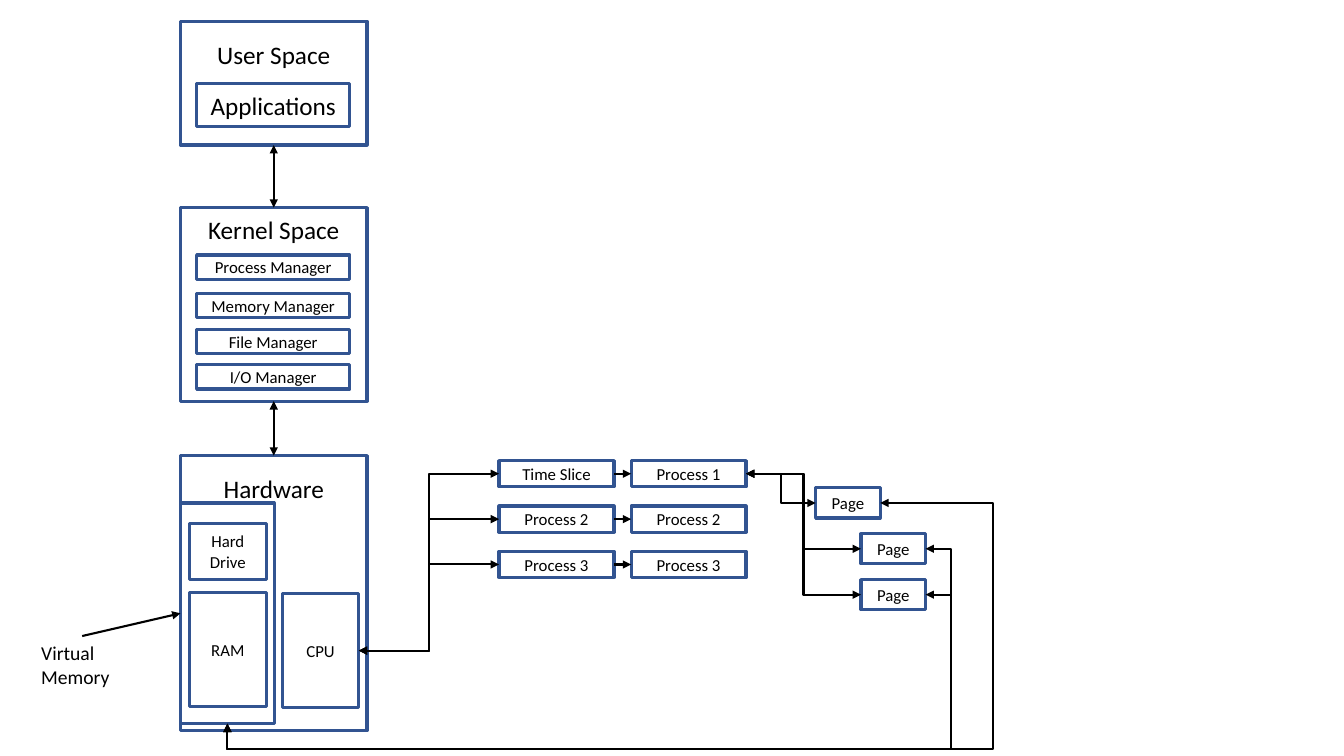
from lxml.etree import SubElement
from pptx import Presentation
from pptx.dml.color import RGBColor
from pptx.enum.shapes import MSO_CONNECTOR as LINE, MSO_SHAPE as SHAPE
from pptx.enum.text import MSO_ANCHOR as ANCHOR, PP_ALIGN as ALIGN
from pptx.oxml.ns import qn
from pptx.util import Inches, Pt

BORDER, INK = "325491", "000000"
TOP, LEFT, BOTTOM, RIGHT = range(4)


def color(hex_value):
    return RGBColor.from_string(hex_value)


def write(holder, text, size=12, align=ALIGN.CENTER, anchor=ANCHOR.MIDDLE, inset=0.05):
    frame = holder.text_frame
    frame.word_wrap = True
    frame.vertical_anchor = anchor
    frame.margin_top = Inches(inset)
    paragraph = frame.paragraphs[0]
    paragraph.alignment = align
    run = paragraph.add_run()
    run.text = text
    run.font.name = "Calibri"
    run.font.size = Pt(size)
    run.font.color.rgb = color(INK)


def add_box(slide, left, top, width, height, text="", **text_format):
    box = slide.shapes.add_shape(
        SHAPE.RECTANGLE, Inches(left), Inches(top), Inches(width), Inches(height))
    box.shadow.inherit = False
    box.fill.background()
    box.line.color.rgb = color(BORDER)
    box.line.width = Pt(2.25)
    if text:
        write(box, text, **text_format)
    return box


def join(slide, start, start_side, end, end_side, kind=LINE.STRAIGHT, both=True):
    arrow = slide.shapes.add_connector(kind, 0, 0, 0, 0)
    arrow.begin_connect(start, start_side)
    arrow.end_connect(end, end_side)
    arrow.line.color.rgb = color(INK)
    arrow.line.width = Pt(1.5)
    outline = arrow.line._get_or_add_ln()
    for tip in ("a:headEnd", "a:tailEnd") if both else ("a:tailEnd",):
        SubElement(outline, qn(tip), type="triangle")
    SubElement(arrow._element.spPr, qn("a:effectLst"))
    return arrow


def join_around(slide, start, end, drop, overshoot):
    """Run from the bottom of start, below and past end, to its right side."""
    arrow = join(slide, start, BOTTOM, end, RIGHT, LINE.ELBOW)
    start_x = start.left + start.width // 2
    start_y = start.top + start.height
    end_x = end.left + end.width
    end_y = end.top + end.height // 2
    run, rise = end_x - start_x, start_y - end_y
    # The frame is turned a quarter, so its width is the rise
    arrow.left = (start_x + end_x - rise) // 2
    arrow.top = (start_y + end_y - run) // 2
    arrow.width, arrow.height = rise, run
    properties = arrow._element.spPr
    frame = properties.find(qn("a:xfrm"))
    for key, value in (("rot", "5400000"), ("flipH", "1"), ("flipV", "1")):
        frame.set(key, value)
    geometry = properties.find(qn("a:prstGeom"))
    geometry.set("prst", "bentConnector4")
    guides = geometry.find(qn("a:avLst"))
    if guides is None:
        guides = SubElement(geometry, qn("a:avLst"))
    bends = (-Inches(drop) / rise, 1 + Inches(overshoot) / run)
    for number, bend in enumerate(bends, 1):
        SubElement(guides, qn("a:gd"), name=f"adj{number}",
                   fmla=f"val {round(bend * 100000)}")


def add_user_space(slide, left, top, width, height):
    user_space = add_box(slide, left, top, width, height, "User Space",
                         size=18, anchor=ANCHOR.TOP, inset=0.18)
    add_box(slide, left + 0.16, top + 0.62, 1.52, 0.43, "Applications", size=18)
    return user_space


def add_kernel_space(slide, left, top, width, height):
    kernel_space = add_box(slide, left, top, width, height, "Kernel Space",
                           size=18, anchor=ANCHOR.TOP, inset=0.07)
    managers = {"Process": 0.47, "Memory": 0.85, "File": 1.21, "I/O": 1.56}
    for manager, offset in managers.items():
        add_box(slide, left + 0.16, top + offset, 1.52, 0.24, f"{manager} Manager")
    return kernel_space


def add_hardware(slide, left, top, width, height):
    hardware = add_box(slide, left, top, width, height, "Hardware",
                       size=18, anchor=ANCHOR.TOP, inset=0.18)
    virtual_memory = add_box(slide, left, top + 0.47, 0.93, 2.19)
    add_box(slide, left + 0.09, top + 0.67, 0.76, 0.56, "Hard Drive")
    add_box(slide, left + 0.09, top + 1.36, 0.76, 1.13, "RAM")
    cpu = add_box(slide, left + 1.01, top + 1.37, 0.76, 1.13, "CPU")
    return hardware, virtual_memory, cpu


def add_virtual_memory_label(slide, left, top, width, height, virtual_memory):
    label = slide.shapes.add_textbox(
        Inches(left), Inches(top), Inches(width), Inches(height))
    write(label, "Virtual Memory", size=14, align=ALIGN.LEFT, anchor=ANCHOR.TOP)
    join(slide, label, TOP, virtual_memory, LEFT, both=False)


def add_processes(slide, left, top, width, height, cpu):
    """Place rows of slice and process; return the processes."""
    pitch, box_width, box_height = 0.45, 1.14, 0.26
    processes = []
    for row, slice_name in enumerate(("Time Slice", "Process 2", "Process 3")):
        y = top + row * pitch
        time_slice = add_box(slide, left, y, box_width, box_height, slice_name)
        process = add_box(slide, left + width - box_width, y, box_width, box_height,
                          f"Process {row + 1}")
        join(slide, time_slice, RIGHT, process, LEFT, both=False)
        join(slide, time_slice, LEFT, cpu, RIGHT, LINE.ELBOW)
        processes.append(process)
    return processes


def add_pages(slide, left, top, process, virtual_memory):
    # Offset from the left and overshoot of the line back to memory
    for row, (indent, overshoot) in enumerate(((0, 1.12), (0.45, 0.25), (0.45, 0.25))):
        page = add_box(slide, left + indent, top + row * 0.455, 0.64, 0.3, "Page")
        join(slide, page, LEFT, process, RIGHT, LINE.ELBOW)
        join_around(slide, virtual_memory, page, 0.25, overshoot)


def main():
    deck = Presentation()
    deck.slide_width, deck.slide_height = Inches(13.33), Inches(7.5)
    slide = deck.slides.add_slide(deck.slide_layouts[6])

    # System layers
    user_space = add_user_space(slide, 1.79, 0.21, 1.85, 1.23)
    kernel_space = add_kernel_space(slide, 1.79, 2.06, 1.85, 1.92)
    hardware, virtual_memory, cpu = add_hardware(slide, 1.79, 4.52, 1.85, 2.73)
    join(slide, user_space, BOTTOM, kernel_space, TOP)
    join(slide, kernel_space, BOTTOM, hardware, TOP)
    add_virtual_memory_label(slide, 0.31, 6.31, 1.01, 0.57, virtual_memory)

    # Scheduling and paging
    processes = add_processes(slide, 4.95, 4.57, 2.45, 1.16, cpu)
    add_pages(slide, 8.09, 4.84, processes[0], virtual_memory)

    deck.save("out.pptx")


if __name__ == "__main__":
    main()
